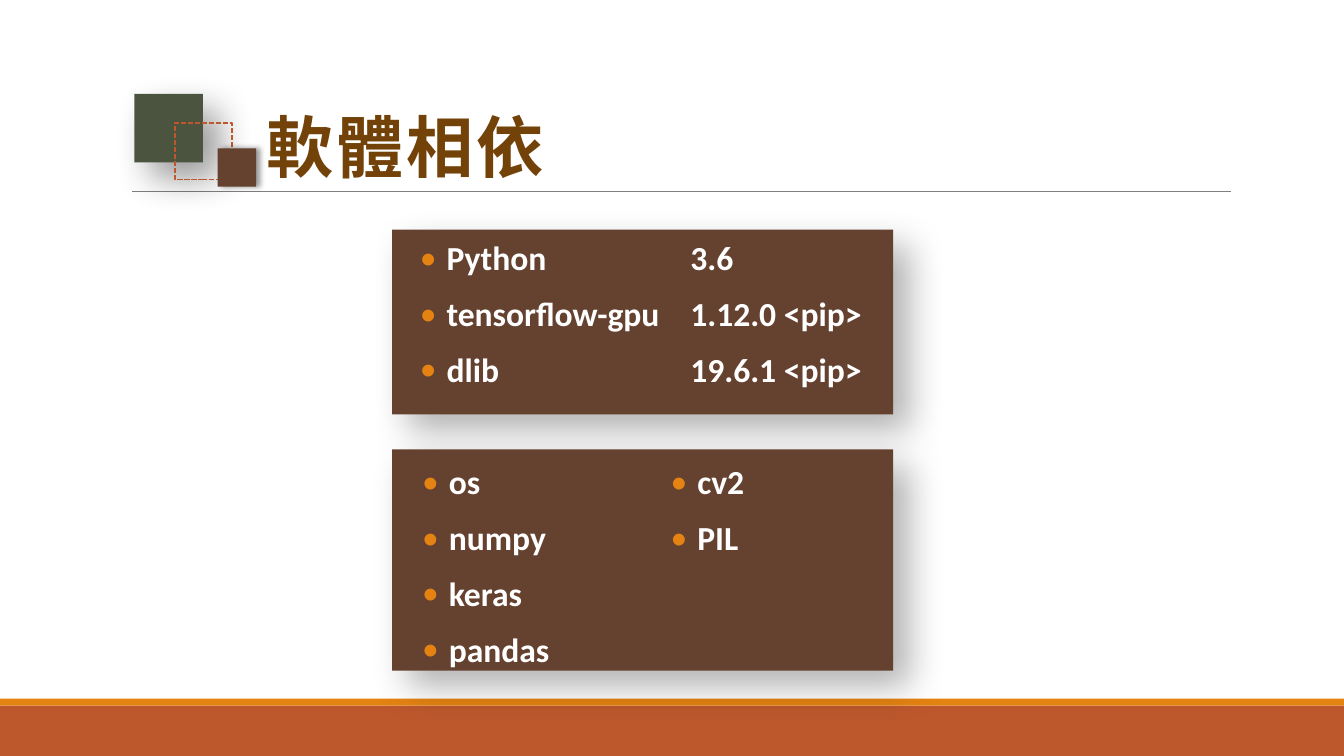
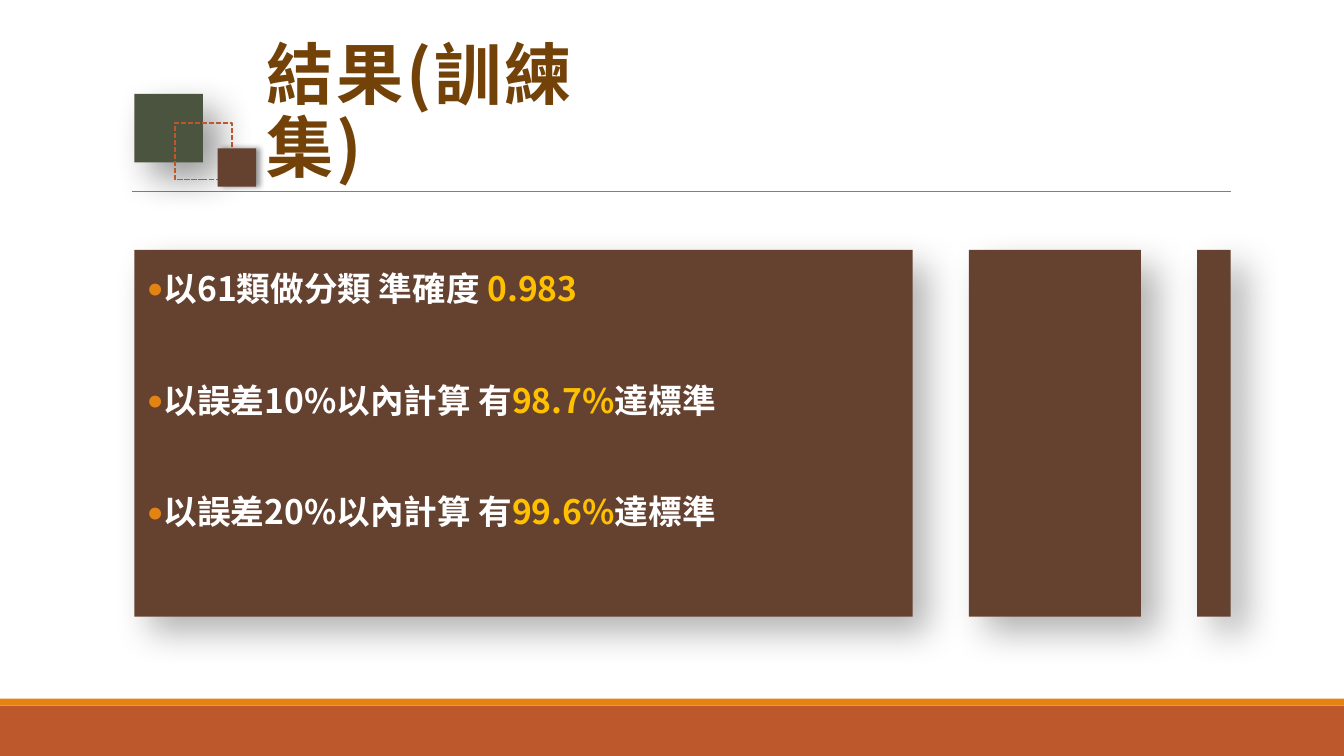
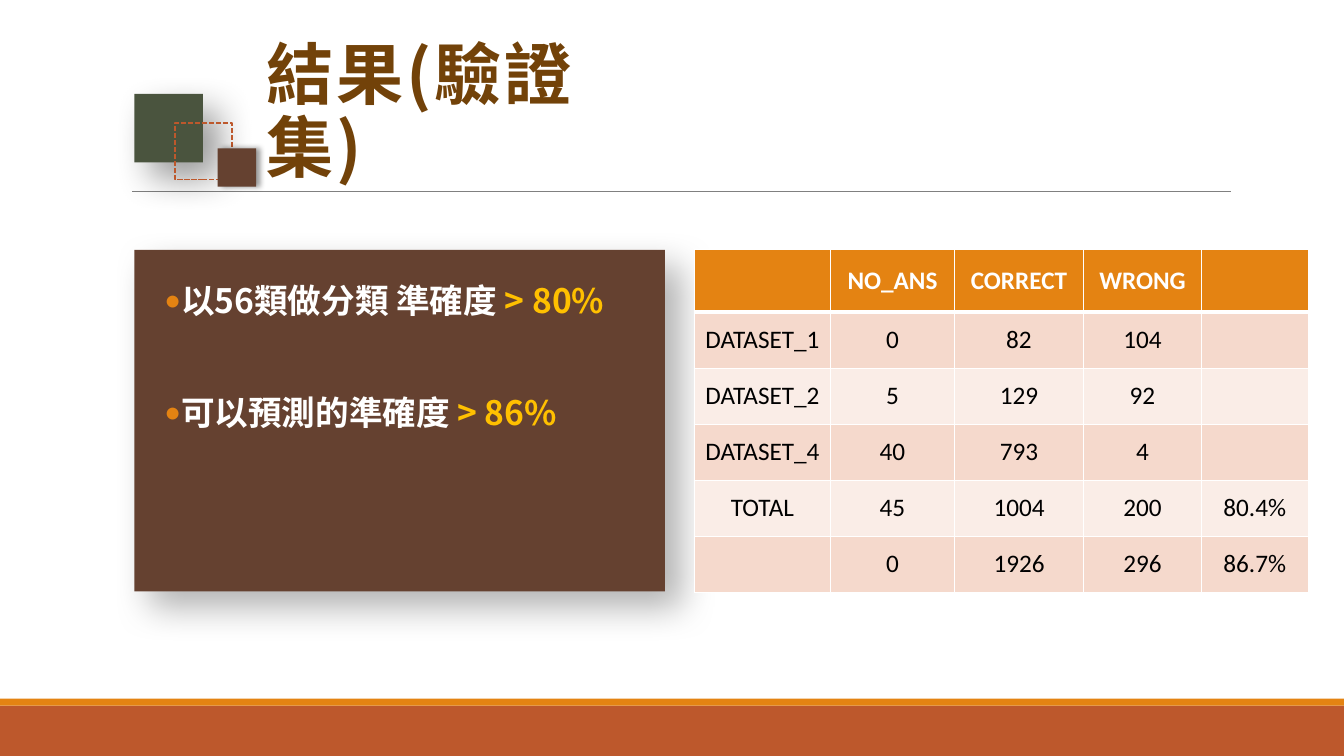
from lxml import etree
from pptx import Presentation
from pptx.dml.color import RGBColor
from pptx.enum import dml, shapes, text
from pptx.oxml.ns import qn
from pptx.util import Pt

GREEN = RGBColor(0x4A, 0x54, 0x3E)
BROWN = RGBColor(0x65, 0x41, 0x30)
RUST = RGBColor(0xBD, 0x58, 0x2C)
ORANGE = RGBColor(0xE4, 0x83, 0x12)
GOLD = RGBColor(0xFF, 0xC0, 0x00)
TITLE_BROWN = RGBColor(0x72, 0x42, 0x09)
GRAY = RGBColor(0x80, 0x80, 0x80)
WHITE = RGBColor(0xFF, 0xFF, 0xFF)
BLACK = RGBColor(0x00, 0x00, 0x00)
ROW_DARK = RGBColor(0xF5, 0xD9, 0xCC)
ROW_LIGHT = RGBColor(0xFA, 0xED, 0xE7)

LATIN = "Calibri"
CJK = "Noto Sans CJK SC"
WIDTH, HEIGHT = 960, 540
LEFT, PANEL_TOP = 96, 178.5
TIGHT, HANGING = 7.2, 19  # bullet indents


# ---- XML helpers ----
def add_node(parent, tag, **attributes):
    node = etree.SubElement(parent, qn(tag))
    for name, value in attributes.items():
        node.set(name, str(value))
    return node


def add_shadow(shape, opacity, blur, distance, angle):
    effects = shape.element.spPr.find(qn("a:effectLst"))
    shadow = add_node(effects, "a:outerShdw", blurRad=Pt(blur), dist=Pt(distance),
                      dir=angle * 60000, algn="tl", rotWithShape=0)
    colour = add_node(shadow, "a:srgbClr", val=BLACK)
    add_node(colour, "a:alpha", val=opacity * 1000)


def add_bullet(para, indent):
    props = para._p.get_or_add_pPr()
    props.set("marL", str(Pt(indent)))
    props.set("indent", str(-Pt(indent)))
    add_node(add_node(props, "a:buClr"), "a:srgbClr", val=ORANGE)
    add_node(props, "a:buFont", typeface=LATIN)
    add_node(props, "a:buChar", char="•")


def add_border(cell, side, width):
    line = add_node(cell._tc.get_or_add_tcPr(), "a:ln" + side, w=Pt(width))
    add_node(add_node(line, "a:solidFill"), "a:srgbClr", val=WHITE)


# ---- Shapes and text ----
def place(shape, box):
    shape.left, shape.top, shape.width, shape.height = (Pt(value) for value in box)


def add_rect(parent, box, fill=None):
    rect = parent.shapes.add_shape(shapes.MSO_SHAPE.RECTANGLE, *(Pt(value) for value in box))
    rect.shadow.inherit = False
    rect.line.fill.background()
    if fill is None:
        rect.fill.background()
    else:
        rect.fill.solid()
        rect.fill.fore_color.rgb = fill
    return rect


def add_panel(page, box):
    add_shadow(add_rect(page, box, BROWN), 30, 26, 16, 45)


def set_font(para, face, size, colour, spacing=0):
    para.line_spacing = 0.9
    para.font.name, para.font.size, para.font.bold = face, Pt(size), True
    para.font.color.rgb = colour
    props = para._p.pPr.find(qn("a:defRPr"))
    if spacing:
        props.set("spc", str(spacing * 100))
    props.find(qn("a:latin")).addnext(etree.Element(qn("a:ea"), typeface=face))


def write_lines(frame, lines, face=LATIN, indent=HANGING, gap=12):
    """Each line is a list of spans; a span in *stars* is highlighted."""
    frame.word_wrap = True
    frame.auto_size = text.MSO_AUTO_SIZE.NONE
    for index, spans in enumerate(lines):
        para = frame.paragraphs[0] if index == 0 else frame.add_paragraph()
        para.alignment = text.PP_ALIGN.LEFT
        para.space_before, para.space_after = Pt(gap), Pt(2)
        if indent:
            add_bullet(para, indent)
        set_font(para, face, 24, WHITE)
        for words in spans:
            span = para.add_run()
            span.text = words.strip("*")
            if words.startswith("*"):
                span.font.color.rgb = GOLD


def fill_body(page, box, lines, **style):
    body = page.placeholders[1]
    place(body, box)
    frame = body.text_frame
    frame.margin_left = frame.margin_right = 0
    frame.margin_top = frame.margin_bottom = Pt(3.6)
    write_lines(frame, lines, **style)


def add_column(page, box, lines, **style):
    column = page.shapes.add_textbox(*(Pt(value) for value in box))
    write_lines(column.text_frame, lines, **style)


def fill_title(page, words, width):
    title = page.shapes.title
    place(title, (183, 22, width, 115))
    frame = title.text_frame
    frame.word_wrap = True
    frame.auto_size = text.MSO_AUTO_SIZE.NONE
    frame.vertical_anchor = text.MSO_ANCHOR.BOTTOM
    frame.text = words
    para = frame.paragraphs[0]
    para.alignment = text.PP_ALIGN.LEFT
    set_font(para, CJK, 48, TITLE_BROWN, spacing=2)


# ---- Shared layout: bands, title rule, squares ----
def decorate_layout(layout, page):
    bands = [add_rect(page, (0, 504, WIDTH, 36), RUST),
             add_rect(page, (0, 499, WIDTH, 5), ORANGE)]

    rule = page.shapes.add_connector(shapes.MSO_CONNECTOR.STRAIGHT,
                                     Pt(94.5), Pt(136.8), Pt(879), Pt(136.8))
    rule.line.color.rgb = GRAY
    rule.line.width = Pt(0.5)
    add_node(rule.element.spPr, "a:effectLst")

    squares = page.shapes.add_group_shape()
    large = add_rect(squares, (LEFT, 67, 49, 49), GREEN)
    add_shadow(large, 40, 26, 16, 45)
    dashed = add_rect(squares, (125.2, 87.8, 40.5, 40.5))
    dashed.line.color.rgb = RUST
    dashed.line.width = Pt(1.25)
    dashed.line.dash_style = dml.MSO_LINE.SQUARE_DOT
    small = add_rect(squares, (155.5, 106, 27.4, 27.4), BROWN)
    add_shadow(small, 40, 4, 3, 0)

    # Move the finished parts to the layout, under ids of their own
    number = 100
    for part in (*bands, rule, squares):
        for node in part.element.xpath(".//p:cNvPr"):
            node.set("id", str(number))
            number += 1
        layout.shapes.element.append(part.element)


# ---- Slides ----
def build_dependencies(page):
    left, width = 280, 358
    upper, lower = 164, 321
    fill_title(page, "軟體相依", 770)
    add_panel(page, (left, upper, width, 132))
    add_panel(page, (left, lower, width, 158))
    fill_body(page, (left + 20, upper + 5, 185, 126),
              [["Python"], ["tensorflow-gpu"], ["dlib"]])
    add_column(page, (left + 206, upper + 5, 160, 126),
               [["3.6"], ["1.12.0 <pip>"], ["19.6.1 <pip>"]], indent=0)
    add_column(page, (left + 14.5, lower + 8, 171, 168),
               [["os"], ["numpy"], ["keras"], ["pandas"]])
    add_column(page, (left + 192, lower + 8, 160, 73), [["cv2"], ["PIL"]])


def build_training(page):
    fill_title(page, "結果(訓練集)", 300)
    left = LEFT
    for width in (556, 123, 24):
        add_panel(page, (left, PANEL_TOP, width, 262))
        left += width + 40
    fill_body(page, (LEFT + 9, PANEL_TOP + 12.3, 792, 249),
              [["以61類做分類 準確度 ", "*0.983*"],
               ["以誤差10%以內計算 有", "*98.7%*", "達標準"],
               ["以誤差20%以內計算 有", "*99.6%*", "達標準"]],
              face=CJK, indent=TIGHT, gap=52)


def add_score_table(page, left, top):
    rows = [["", "NO_ANS", "CORRECT", "WRONG", ""],
            ["DATASET_1", "0", "82", "104", ""],
            ["DATASET_2", "5", "129", "92", ""],
            ["DATASET_4", "40", "793", "4", ""],
            ["TOTAL", "45", "1004", "200", "80.4%"],
            ["", "0", "1926", "296", "86.7%"]]
    widths = (97.2, 88.6, 92.2, 84.2, 76.3)
    heights = [44.5] + [40] * 5
    table = page.shapes.add_table(len(rows), len(widths), Pt(left), Pt(top),
                                  Pt(sum(widths)), Pt(sum(heights))).table
    for column, width in zip(table.columns, widths):
        column.width = Pt(width)
    for index, (values, height) in enumerate(zip(rows, heights)):
        table.rows[index].height = Pt(height)
        header = index == 0
        fill = ORANGE if header else (ROW_DARK if index % 2 else ROW_LIGHT)
        for place_in_row, value in enumerate(values):
            cell = table.cell(index, place_in_row)
            for side in "LRTB":
                thick = (index, side) in ((0, "B"), (1, "T"))
                add_border(cell, side, 3 if thick else 1)
            cell.fill.solid()
            cell.fill.fore_color.rgb = fill
            cell.vertical_anchor = text.MSO_ANCHOR.MIDDLE
            cell.text = value
            para = cell.text_frame.paragraphs[0]
            para.alignment = text.PP_ALIGN.CENTER
            para.font.name, para.font.size, para.font.bold = LATIN, Pt(18), header
            para.font.color.rgb = WHITE if header else BLACK


def build_validation(page):
    fill_title(page, "結果(驗證集)", 300)
    add_panel(page, (LEFT, PANEL_TOP, 379, 244))
    fill_body(page, (LEFT + 21.4, PANEL_TOP + 21, 356, 161),
              [["以56類做分類 準確度 ", "*> 80%*"],
               ["可以預測的準確度 ", "*> 86%*"]],
              face=CJK, indent=TIGHT, gap=52)
    add_score_table(page, LEFT + 400, PANEL_TOP)


def main():
    deck = Presentation()
    deck.slide_width, deck.slide_height = Pt(WIDTH), Pt(HEIGHT)
    layout = deck.slide_layouts[1]
    builders = (build_dependencies, build_training, build_validation)
    pages = [deck.slides.add_slide(layout) for _ in builders]
    decorate_layout(layout, pages[0])
    for build, page in zip(builders, pages):
        # Panels are drawn first, so the body is raised above them
        body = page.placeholders[1].element
        build(page)
        page.shapes.element.append(body)
    deck.save("out.pptx")


if __name__ == "__main__":
    main()
